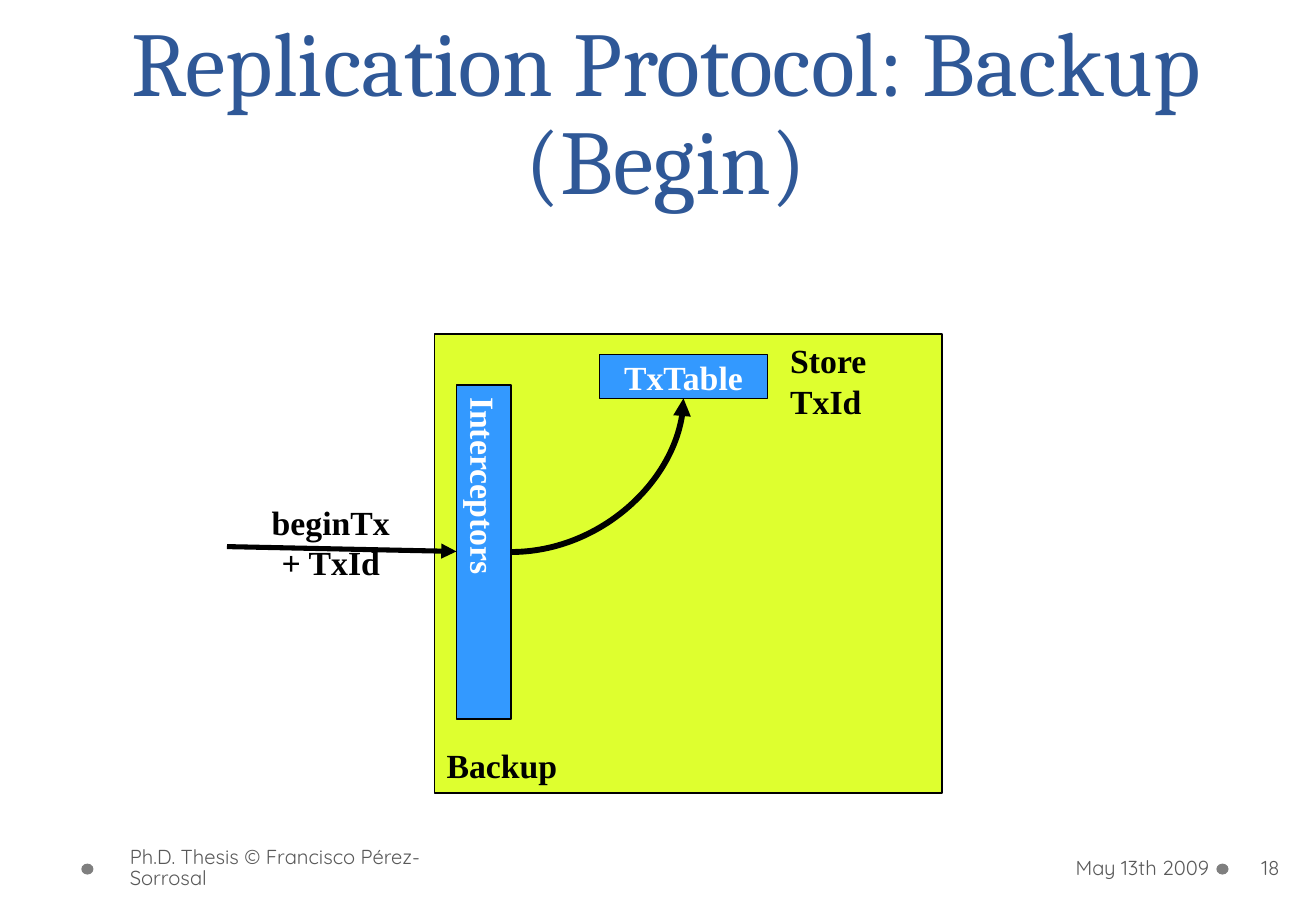
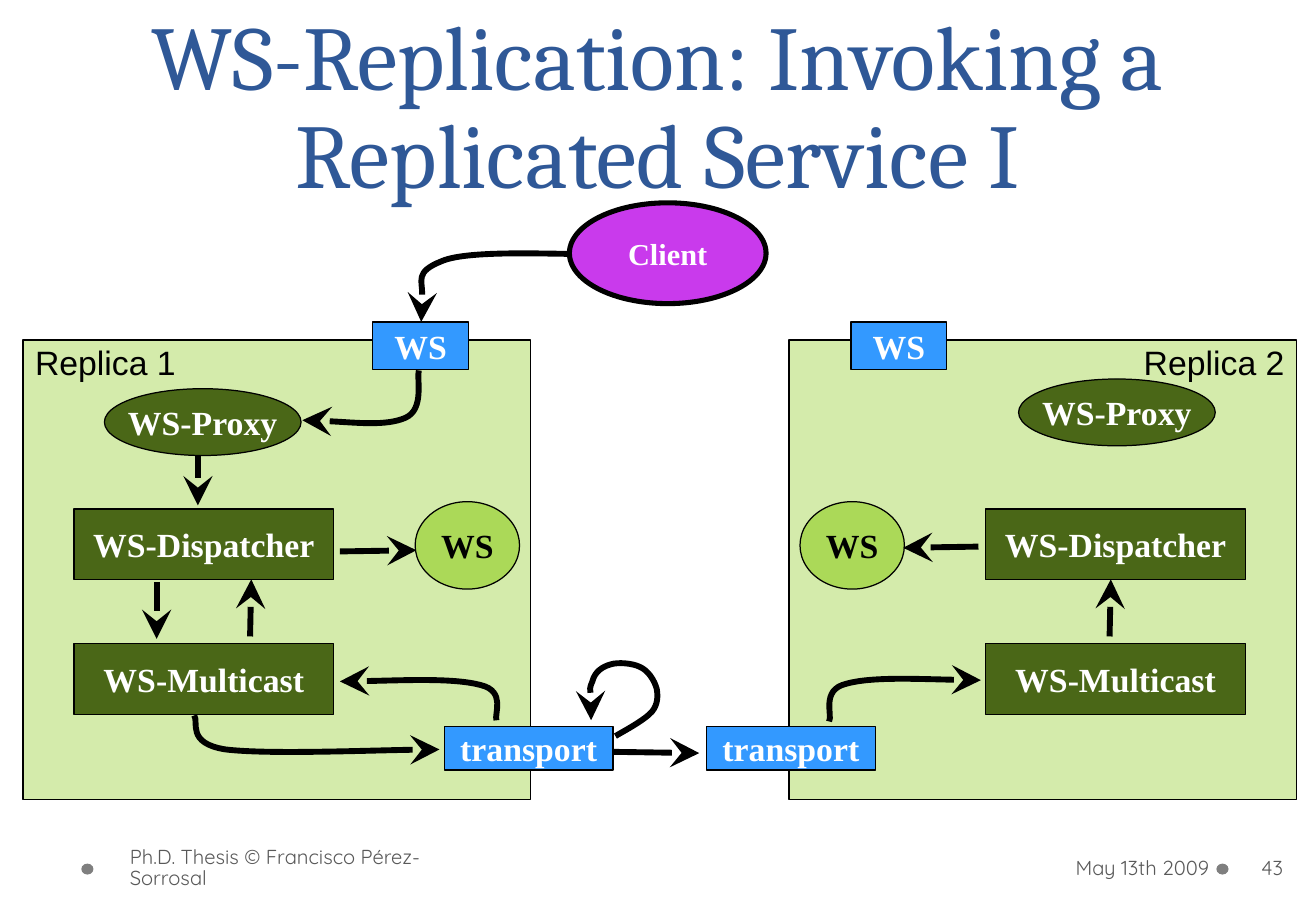
from dataclasses import dataclass
from typing import NamedTuple

from lxml import etree
from pptx import Presentation
from pptx.dml.color import RGBColor
from pptx.enum.shapes import MSO_CONNECTOR, MSO_SHAPE
from pptx.enum.text import MSO_ANCHOR, PP_ALIGN
from pptx.oxml.ns import qn
from pptx.util import Inches, Pt

RECT, OVAL = MSO_SHAPE.RECTANGLE, MSO_SHAPE.OVAL
STRAIGHT, CURVE = MSO_CONNECTOR.STRAIGHT, MSO_CONNECTOR.CURVE
LEFT, CENTER, RIGHT = PP_ALIGN.LEFT, PP_ALIGN.CENTER, PP_ALIGN.RIGHT
TOP, MIDDLE, BOTTOM = MSO_ANCHOR.TOP, MSO_ANCHOR.MIDDLE, MSO_ANCHOR.BOTTOM

# Grid: square cells, 108.4 columns by 75 rows
CELL = Inches(0.1)
COLS, ROWS = 108.4, 75


class Style(NamedTuple):
    font: str
    size: float
    color: str
    bold: bool = False


@dataclass(frozen=True)
class Theme:
    black: str = "000000"
    blue: str = "3399FF"
    lime: str = "DEFF2F"
    leaf: str = "ABD958"
    moss: str = "4A6717"
    violet: str = "C93AEC"
    dot: str = "7F7F7F"
    thin: float = 0.75
    thick: float = 3
    arrow: float = 3.5
    title: Style = Style("Cambria", 54, "2F5897")
    footer: Style = Style("Quicksand", 12, "595959")
    light: Style = Style("Times New Roman", 20, "FFFFFF", True)
    dark: Style = Style("Times New Roman", 20, "000000", True)
    client: Style = Style("Times New Roman", 18, "FFFFFF", True)
    replica: Style = Style("Arial", 20, "000000")


T = Theme()


class Box(NamedTuple):
    x: float
    y: float
    w: float
    h: float


@dataclass
class Node:
    box: Box
    fill: str
    text: str = ""
    style: Style = T.light
    shape: int = RECT
    line: float = T.thin
    align: int = CENTER
    anchor: int = MIDDLE
    spacing: float = 1.0
    alpha: int = 100


@dataclass
class Label:
    box: Box
    text: str
    style: Style = T.dark
    align: int = LEFT
    anchor: int = TOP
    spacing: object = 1.0
    insets: tuple = (1, 0.5, 1, 0.5)
    indent: float = 0


def cells(*values: float) -> list:
    return [round(v * CELL) for v in values]


def rgb(color: str) -> RGBColor:
    return RGBColor.from_string(color)


def write(sp, item, insets=(1, 0.5, 1, 0.5), wrap=True, indent=0) -> None:
    tf = sp.text_frame
    tf.word_wrap = wrap
    tf.vertical_anchor = item.anchor
    tf.margin_left, tf.margin_top, tf.margin_right, tf.margin_bottom = cells(*insets)
    p = tf.paragraphs[0]
    p.text = item.text
    p.alignment, p.line_spacing = item.align, item.spacing
    if indent:
        p._p.get_or_add_pPr().set("marL", str(cells(indent)[0]))
    p.font.name, p.font.size = item.style.font, Pt(item.style.size)
    p.font.bold, p.font.color.rgb = item.style.bold, rgb(item.style.color)


def add_label(s, label: Label) -> None:
    sp = s.shapes.add_textbox(*cells(*label.box))
    write(sp, label, label.insets, True, label.indent)


def add_node(s, node: Node):
    sp = s.shapes.add_shape(node.shape, *cells(*node.box))
    sp.shadow.inherit = False
    sp.fill.solid()
    sp.fill.fore_color.rgb = rgb(node.fill)
    if node.alpha < 100:
        color = sp.element.spPr.find(qn("a:solidFill"))[0]
        etree.SubElement(color, qn("a:alpha")).set("val", str(node.alpha * 1000))
    if node.line:
        sp.line.color.rgb, sp.line.width = rgb(T.black), Pt(node.line)
    else:
        sp.line.fill.background()
    if node.text:
        write(sp, node, wrap=False)
    return sp


def style_arrow(sp, head: str, size: str, width: float) -> None:
    sp.line.color.rgb, sp.line.width = rgb(T.black), Pt(width)
    spPr = sp.element.spPr
    end = etree.SubElement(spPr.find(qn("a:ln")), qn("a:tailEnd"))
    for key, value in (("type", head), ("w", size), ("len", size)):
        end.set(key, value)
    if spPr.find(qn("a:effectLst")) is None:
        etree.SubElement(spPr, qn("a:effectLst"))


def add_arrow(s, points: list, head="stealth", size="lg", width=T.arrow) -> None:
    """Two points make a straight arrow; more are a start and Bezier triples."""
    pts = [cells(*point) for point in points]
    if len(pts) == 2:
        sp = s.shapes.add_connector(STRAIGHT, *pts[0], *pts[1])
    else:
        builder = s.shapes.build_freeform(*pts[0])
        builder.add_line_segments(pts[1:], close=False)
        sp = builder.convert_to_shape()
        sp.shadow.inherit = False
        sp.fill.background()
        # Fold every three line segments into one cubic curve
        outline = sp.element.spPr.find(".//" + qn("a:path"))
        segments = outline.findall(qn("a:lnTo"))
        for i in range(0, len(segments), 3):
            curve = etree.SubElement(outline, qn("a:cubicBezTo"))
            for segment in segments[i:i + 3]:
                curve.append(segment[0])
                outline.remove(segment)
    style_arrow(sp, head, size, width)


# Shared title and footer
def new_slide(prs, title: str, x: float, y: float, number: int):
    s = prs.slides.add_slide(prs.slide_layouts[6])
    for dot_x in (100.2, 6.7):
        add_node(s, Node(Box(dot_x, 71.1, 1, 0.9), T.dot, shape=OVAL, line=0))
    add_label(s, Label(Box(x, y, 97.5, 17.5), title, T.title, CENTER, BOTTOM, Pt(58)))
    for text, left, width, align, insets, indent in (
        ("Ph.D. Thesis © Francisco Pérez-Sorrosal", 7.8, 33.7, LEFT, (0.5, 0.5, 1, 0.5), 2.4),
        ("May 13th 2009", 75.4, 24.7, RIGHT, (1, 0.5, 0.5, 0.5), 0),
        (str(number), 101.2, 6.7, LEFT, (0.3, 0.5, 0.5, 0.5), 2.4),
    ):
        add_label(s, Label(Box(left, 69.5, width, 4), text, T.footer, align,
                           MIDDLE, 0.9, insets, indent))
    return s


# Slide: backup begin
def backup_slide(prs) -> None:
    s = new_slide(prs, "Replication Protocol: Backup (Begin)", 6.1, 0.5, 18)
    add_node(s, Node(Box(35.8, 27.5, 41.8, 37.8), T.lime))
    table = add_node(s, Node(Box(49.4, 29.2, 13.8, 3.6), T.blue, "TxTable"))
    interceptors = add_node(s, Node(Box(37.6, 31.7, 4.5, 27.5), T.blue, "Interceptors"))
    interceptors.text_frame._txBody.bodyPr.set("vert", "eaVert")

    add_arrow(s, [(18.7, 45), (37.6, 45.4)], "triangle", "med", T.thick)
    store = s.shapes.add_connector(CURVE, *cells(42.1, 45.4, 56.3, 32.8))
    store.element.spPr.find(qn("a:prstGeom")).set("prst", "curvedConnector2")
    store.begin_connect(interceptors, 3)
    store.end_connect(table, 2)
    style_arrow(store, "triangle", "med", T.arrow)

    for label in (
        Label(Box(35.8, 60.8, 17.9, 4.4), "Backup"),
        Label(Box(20.5, 40.8, 13.5, 7.7), "beginTx + TxId", align=CENTER),
        Label(Box(64.1, 27.5, 9.9, 7.7), "Store TxId"),
    ):
        add_label(s, label)


# Slide: replicated service; the second replica mirrors the first
REPLICA_W = 41.8


def add_replica(s, name: str, left: float, proxy_y: float, mirrored: bool) -> None:
    add_node(s, Node(Box(left, 28, REPLICA_W, 37.8), T.leaf, name, T.replica,
                     align=RIGHT if mirrored else LEFT, anchor=TOP,
                     spacing=0.9, alpha=50))
    for node in (
        Node(Box(6.7, proxy_y, 16.2, 5.5), T.moss, "WS-Proxy", shape=OVAL),
        Node(Box(34.7, 59.8, 13.9, 3.6), T.blue, "transport"),
        Node(Box(32.3, 41.3, 8.6, 7.2), T.leaf, "WS", T.dark, OVAL),
        Node(Box(4.2, 41.9, 21.4, 5.8), T.moss, "WS-Dispatcher"),
        Node(Box(4.2, 53, 21.4, 5.8), T.moss, "WS-Multicast"),
        Node(Box(28.8, 26.5, 7.9, 3.9), T.blue, "WS"),
    ):
        x, y, w, h = node.box
        offset = REPLICA_W - x - w if mirrored else x
        node.box = Box(left + offset, y, w, h)
        add_node(s, node)


ARROWS = (
    # Client to WS, WS to proxy
    [(48.6, 20.9), (46.5, 21), (38.7, 20.5), (36.4, 21.5), (34.1, 22.4), (35, 25.4), (34.7, 26.5)],
    [(34.5, 30.5), (34.3, 31.1), (35, 33.7), (33.4, 34.4), (31.8, 35.1), (26.6, 34.6), (24.9, 34.6)],
    # Inside the replicas
    [(16.3, 37.5), (16.3, 41.6)],
    [(12.9, 47.9), (12.9, 52.6)],
    [(20.6, 52.4), (20.7, 47.7)],
    [(28, 45.4), (34.3, 45.3)],
    [(91.4, 52.4), (91.5, 47.7)],
    [(80.6, 45), (74.4, 45.1)],
    # Through the transports
    [(50.5, 61.9), (57.6, 62)],
    [(16, 58.9), (16.4, 59.4), (15.3, 61.2), (18.6, 61.7), (22, 62.1), (32.5, 61.7), (36.2, 61.7)],
    [(68.3, 59.4), (68.6, 58.9), (67.6, 56.8), (69.7, 56.3), (71.8, 55.7), (78.5, 56), (80.8, 56)],
    [(40.9, 59.3), (40.7, 58.8), (41.7, 56.9), (39.6, 56.4), (37.4, 55.8), (30.4, 56.1), (28, 56.1)],
    [(50.7, 60.6), (51.2, 60.3), (53.1, 59.3), (53.7, 58.6), (54.2, 58), (54.2, 57.3), (54.1, 56.7),
     (53.9, 56), (53.4, 55.2), (52.7, 54.9), (52.1, 54.6), (50.9, 54.5), (50.3, 54.7),
     (49.6, 54.9), (49, 55.3), (48.8, 56.1), (48.5, 56.8), (48.7, 58.6), (48.7, 59.3)],
)


def service_slide(prs) -> None:
    s = new_slide(prs, "WS-Replication: Invoking a Replicated Service I", 5.4, 0, 43)
    add_replica(s, "Replica 1", 1.9, 32, False)
    add_replica(s, "Replica 2", 65, 31.2, True)
    for points in ARROWS:
        add_arrow(s, points)
    add_node(s, Node(Box(46.9, 16.7, 16.2, 8.3), T.violet, "Client", T.client, OVAL, T.thick))


def main() -> None:
    prs = Presentation()
    prs.slide_width, prs.slide_height = cells(COLS, ROWS)
    backup_slide(prs)
    service_slide(prs)
    prs.save("out.pptx")


if __name__ == "__main__":
    main()
